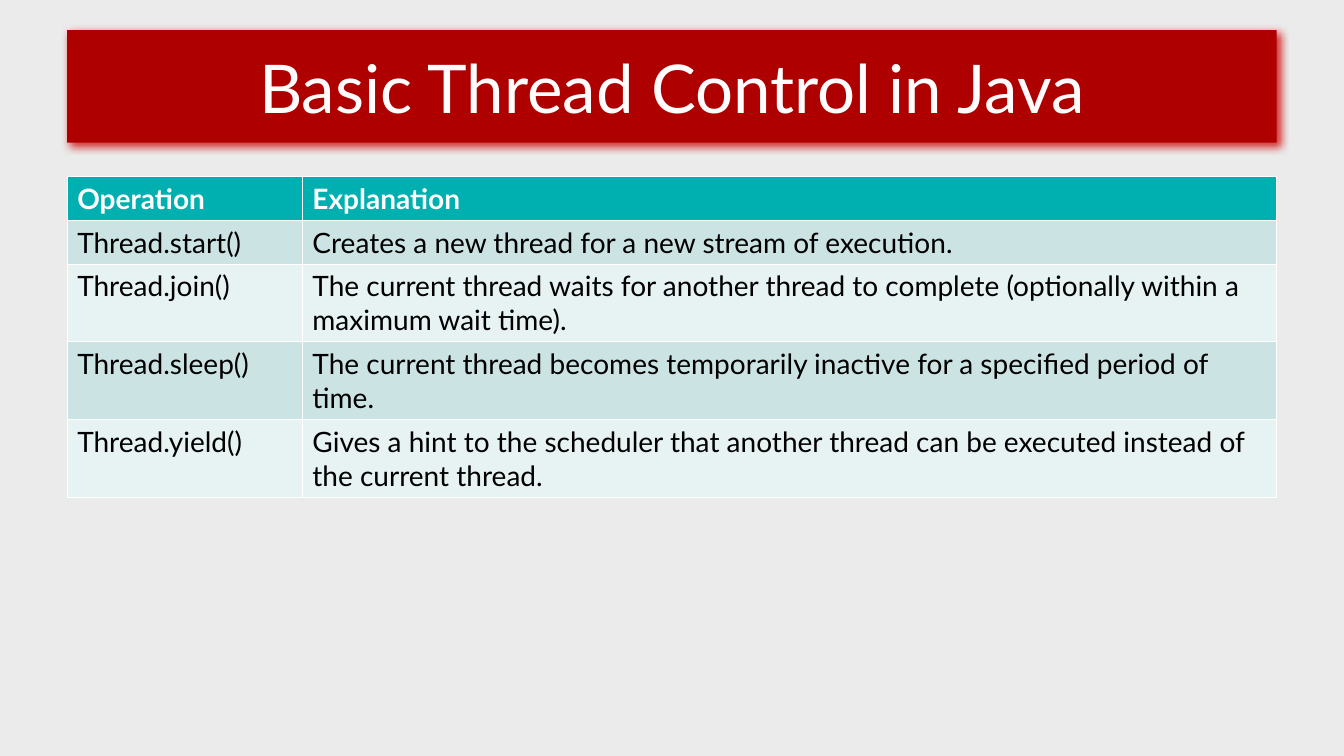
from dataclasses import dataclass

from lxml import etree
from pptx import Presentation
from pptx.dml.color import RGBColor as RGB
from pptx.enum.shapes import MSO_SHAPE as SHAPE
from pptx.enum.text import MSO_ANCHOR as ANCHOR, PP_ALIGN as ALIGN
from pptx.oxml.ns import qn
from pptx.util import Pt


@dataclass(frozen=True)
class Theme:
    font: str = "Lato"
    title_size: int = 48
    cell_size: int = 20
    background: str = "EBEBEB"
    banner: str = "AF0000"
    shadow: str = "D00000"
    title: str = "FEFCFC"
    header: str = "00AFAF"
    bands: tuple = ("CCE3E3", "E7F2F2")
    header_text: str = "FFFFFF"
    body_text: str = "000000"


theme = Theme()


def format_run(r, size, color, bold=False):
    r.font.name = theme.font
    r.font.size = Pt(size)
    r.font.bold = bold
    r.font.color.rgb = RGB.from_string(color)


def set_fill(fill, color):
    fill.solid()
    fill.fore_color.rgb = RGB.from_string(color)


# Slide
prs = Presentation()
prs.slide_width, prs.slide_height = Pt(960), Pt(540)
s = prs.slides.add_slide(prs.slide_layouts[6])
set_fill(s.background.fill, theme.background)

# Title banner with a soft red shadow
left, width = 48, 864
sp = s.shapes.add_shape(SHAPE.RECTANGLE, Pt(left), Pt(21.6), Pt(width), Pt(80.4))
set_fill(sp.fill, theme.banner)
sp.line.fill.background()
sp.shadow.inherit = False
effects = sp._element.spPr.find(qn("a:effectLst"))
shadow = etree.SubElement(effects, qn("a:outerShdw"), blurRad=str(Pt(6)),
                          dist=str(Pt(3)), dir="2700000", rotWithShape="0")
shadow_color = etree.SubElement(shadow, qn("a:srgbClr"), val=theme.shadow)
etree.SubElement(shadow_color, qn("a:alpha"), val="80000")

tf = sp.text_frame
tf.text = "Basic Thread Control in Java"
tf.word_wrap = False
tf.vertical_anchor = ANCHOR.MIDDLE
p = tf.paragraphs[0]
p.alignment = ALIGN.CENTER
format_run(p.runs[0], theme.title_size, theme.title)

# Table of thread operations; its default style draws the white rules
rows = [
    ("Operation", "Explanation"),
    ("Thread.start()", "Creates a new thread for a new stream of execution."),
    ("Thread.join()", "The current thread waits for another thread to complete "
                      "(optionally within a maximum wait time)."),
    ("Thread.sleep()", "The current thread becomes temporarily inactive "
                       "for a specified period of time."),
    ("Thread.yield()", "Gives a hint to the scheduler that another thread "
                       "can be executed instead of the current thread."),
]
col_widths = (168, 696)
row_height = 29.5
table = s.shapes.add_table(len(rows), len(col_widths), Pt(left), Pt(126),
                           Pt(width), Pt(row_height * len(rows))).table
for col, col_width in zip(table.columns, col_widths):
    col.width = Pt(col_width)

for i, row in enumerate(rows):
    table.rows[i].height = Pt(row_height)
    is_header = i == 0
    fill = theme.header if is_header else theme.bands[(i - 1) % 2]
    color = theme.header_text if is_header else theme.body_text
    for j, text in enumerate(row):
        cell = table.cell(i, j)
        cell.text_frame.text = text
        format_run(cell.text_frame.paragraphs[0].runs[0], theme.cell_size,
                   color, is_header)
        set_fill(cell.fill, fill)

prs.save("out.pptx")
